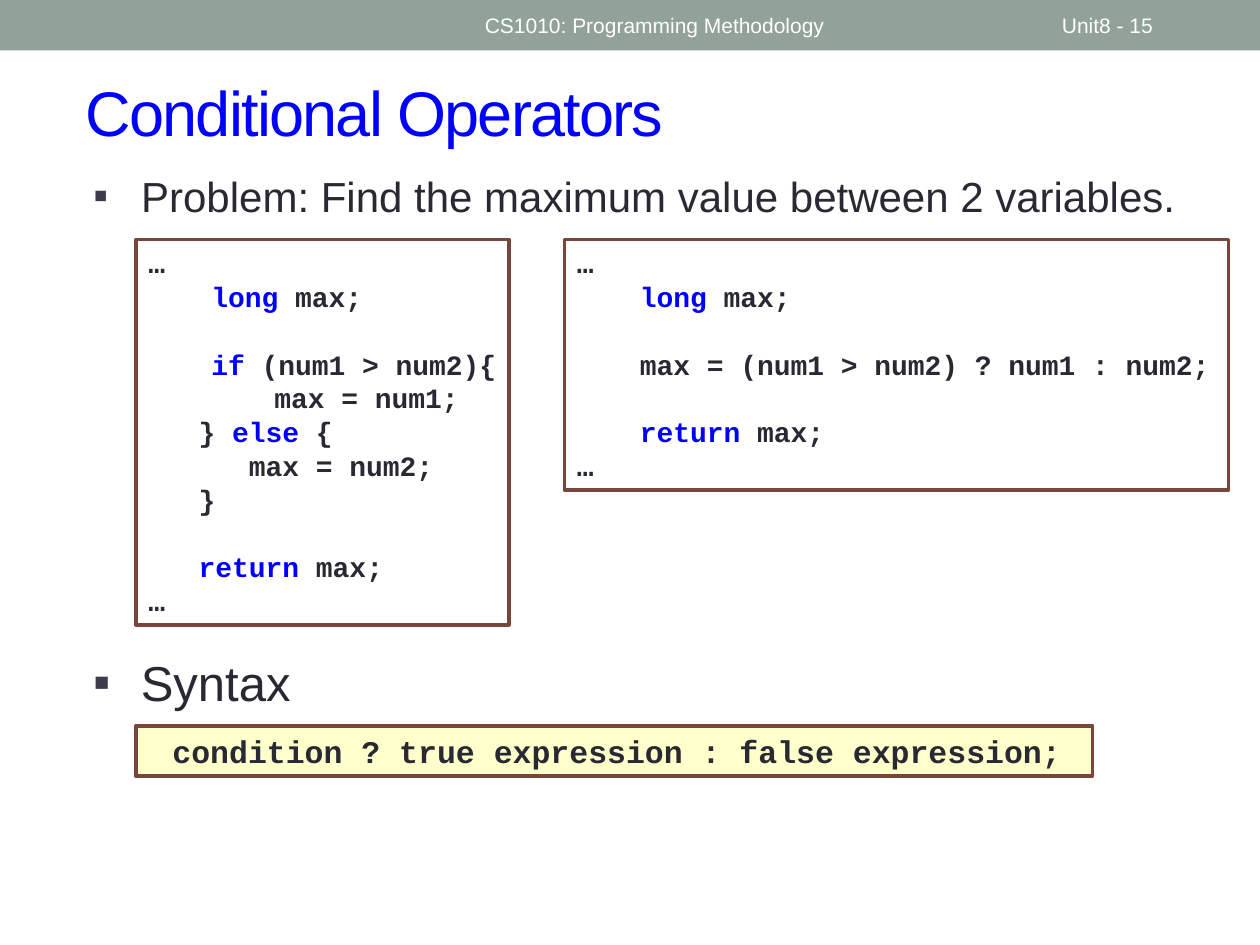
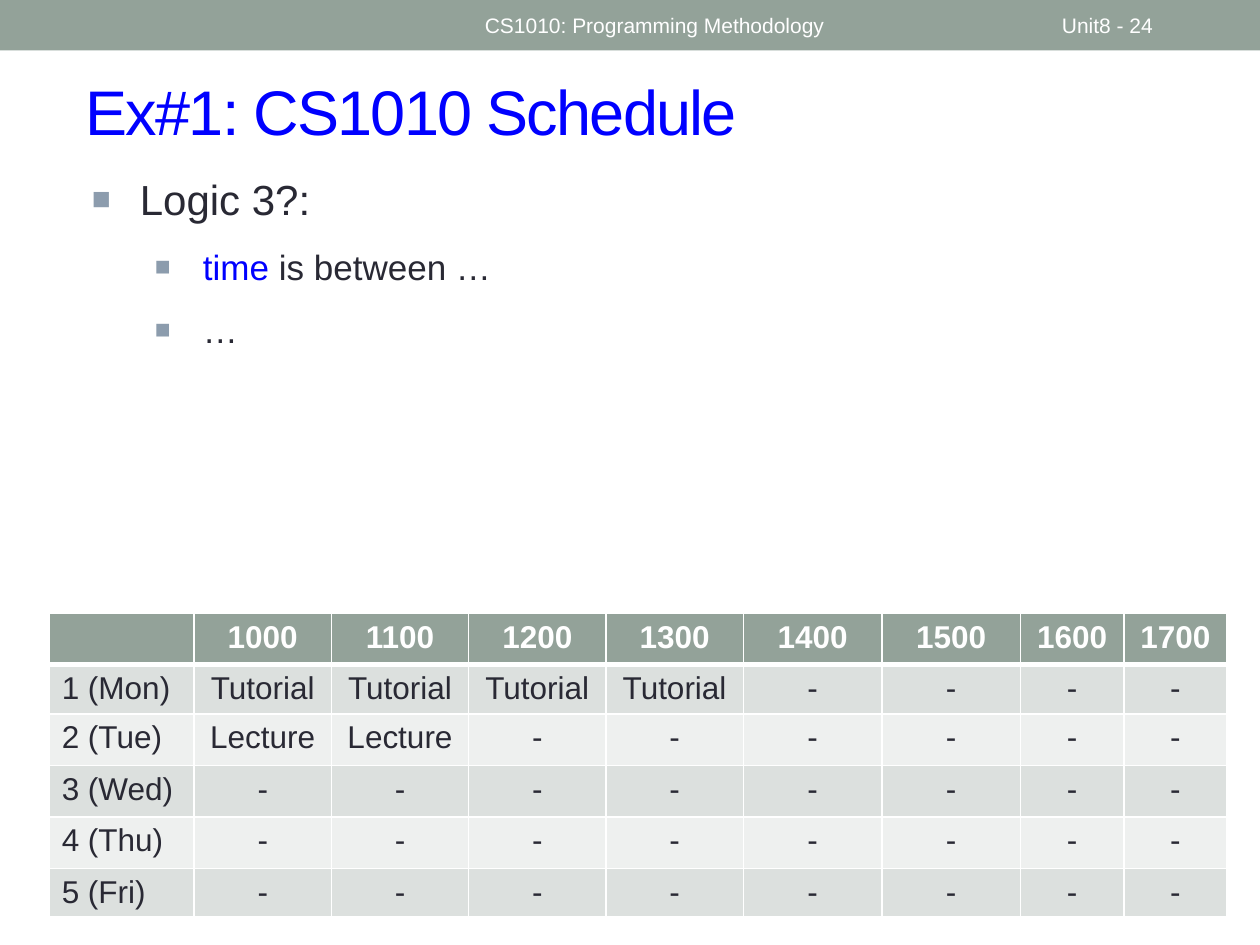
from lxml import etree
from pptx import Presentation
from pptx.dml.color import RGBColor
from pptx.enum.shapes import MSO_SHAPE
from pptx.enum.text import MSO_ANCHOR, MSO_AUTO_SIZE, PP_ALIGN
from pptx.oxml.ns import qn
from pptx.util import Inches, Pt

RECTANGLE = MSO_SHAPE.RECTANGLE
TOP, MIDDLE = MSO_ANCHOR.TOP, MSO_ANCHOR.MIDDLE
LEFT, CENTER = PP_ALIGN.LEFT, PP_ALIGN.CENTER

WHITE = RGBColor(0xFF, 0xFF, 0xFF)
SAGE = RGBColor(0x93, 0xA2, 0x99)
INK = RGBColor(0x29, 0x29, 0x34)
BLUE = RGBColor(0x00, 0x00, 0xFF)
BROWN = RGBColor(0x79, 0x46, 0x3D)
CREAM = RGBColor(0xFF, 0xFF, 0xCC)
BULLET_DARK = RGBColor(0x3B, 0x3B, 0x4B)
BULLET_GREY = RGBColor(0x8C, 0x9C, 0xAD)
ROW_FILLS = [RGBColor(0xDC, 0xE0, 0xDE), RGBColor(0xEE, 0xF0, 0xEF)]

# Content: backquotes mark words shown in blue, an empty line is a gap
COURSE = "CS1010: Programming Methodology"
PROBLEM = "Problem: Find the maximum value between 2 variables."
IF_ELSE_CODE = [
    "…",
    "\t`long` max;",
    "",
    "\t`if` (num1 > num2){",
    "\t\tmax = num1;",
    "   } `else` {",
    "      max = num2;",
    "   }",
    "",
    "   `return` max;",
    "…",
]
CONDITIONAL_CODE = [
    "…",
    "\t`long` max;",
    "",
    "\tmax = (num1 > num2) ? num1 : num2;",
    "",
    "\t`return` max;",
    "…",
]
SYNTAX = "condition ? true expression : false expression;"
LOGIC_ITEMS = [(0, 24, "Logic 3?:"), (1, 20, "`time` is between …"), (1, 20, "…")]
HOURS = [str(hour) for hour in range(1000, 1800, 100)]
SCHEDULE = {
    "1 (Mon)": ["Tutorial"] * 4,
    "2 (Tue)": ["Lecture"] * 2,
    "3 (Wed)": [],
    "4 (Thu)": [],
    "5 (Fri)": [],
}
COLUMN_WIDTHS = [1.15] + [1.09] * 4 + [1.1] * 2 + [0.82] * 2
ROW_HEIGHTS = [0.37, 0.39] + [0.41] * 3 + [0.37]

# Shared sizes
CODE_TABS = [0.38, 0.75]
CODE_LINE = 19.3
HANGING = 0.38


def add_element(parent, tag, **attributes):
    return etree.SubElement(parent, qn(tag), attributes)


def add_bullet(properties, character, color, percent):
    fill = add_element(properties, "a:buClr")
    add_element(fill, "a:srgbClr", val=str(color))
    add_element(properties, "a:buSzPct", val=str(percent * 1000))
    add_element(properties, "a:buFont", typeface="Arial")
    add_element(properties, "a:buChar", char=character)


def write(frame, text, size=18, font="Arial", color=INK, bold=False, align=LEFT,
          anchor=TOP, level=0, indent=0, bullet=None, tabs=(), before=0,
          line=None, tracking=0, append=False):
    """Write lines of text; with append, add them after the present ones."""
    frame.word_wrap = True
    frame.auto_size = MSO_AUTO_SIZE.NONE
    frame.vertical_anchor = anchor
    gap, first = 0, not append
    for content in text.split("\n"):
        if not content:
            gap = line
            continue
        paragraph = frame.paragraphs[0] if first else frame.add_paragraph()
        paragraph.level = level
        paragraph.alignment = align
        paragraph.space_before = Pt(0 if first else before + gap)
        if line:
            paragraph.line_spacing = Pt(line)
        first, gap = False, 0

        # Indents, bullet and tab stops
        properties = paragraph._p.get_or_add_pPr()
        properties.set("marL", str(Inches(indent)))
        properties.set("indent", str(Inches(-HANGING if bullet else 0)))
        if bullet:
            add_bullet(properties, *bullet)
        if tabs:
            tab_list = add_element(properties, "a:tabLst")
            for stop in tabs:
                add_element(tab_list, "a:tab", pos=str(Inches(stop)), algn="l")

        for index, part in enumerate(content.split("`")):
            if part:
                run = paragraph.add_run()
                run.text = part
                run.font.size = Pt(size)
                run.font.name = font
                run.font.bold = bold
                run.font.color.rgb = BLUE if index % 2 else color
                if tracking:
                    run._r.get_or_add_rPr().set("spc", str(tracking))


def place(shape, left, top, width, height):
    shape.left, shape.top = Inches(left), Inches(top)
    shape.width, shape.height = Inches(width), Inches(height)


def add_rectangle(slide, box, fill, line=None):
    shape = slide.shapes.add_shape(RECTANGLE, *map(Inches, box))
    shape.shadow.inherit = False
    shape.fill.solid()
    shape.fill.fore_color.rgb = fill
    if line:
        shape.line.color.rgb = line
        shape.line.width = Pt(2.08)
    else:
        shape.line.fill.background()
    return shape


def add_text(slide, box, text, **text_format):
    shape = slide.shapes.add_textbox(*map(Inches, box))
    write(shape.text_frame, text, **text_format)


def add_code(slide, box, text, fill=WHITE, **text_format):
    shape = add_rectangle(slide, box, fill, BROWN)
    write(shape.text_frame, text, font="Courier New", bold=True, **text_format)


def add_slide(presentation, title, title_box, number):
    """Start a slide with the band, its footer texts and the title."""
    slide = presentation.slides.add_slide(presentation.slide_layouts[1])
    add_rectangle(slide, (0, 0, 10, 0.4), SAGE)
    place(slide.shapes.title, *title_box)
    write(slide.shapes.title.text_frame, title, size=36, color=BLUE,
          anchor=MIDDLE, tracking=-100)
    for left, width, text in [(8.33, 1.17, f"Unit8 - {number}"), (3.75, 4.5, COURSE)]:
        add_text(slide, (left, 0.02, width, 0.36), text, size=12, color=WHITE,
                 anchor=MIDDLE)
    return slide


def set_borders(cell, top=1, bottom=1):
    properties = cell._tc.get_or_add_tcPr()
    for side, width in [("L", 1), ("R", 1), ("T", top), ("B", bottom)]:
        line = add_element(properties, f"a:ln{side}", w=str(Pt(width)))
        fill = add_element(line, "a:solidFill")
        add_element(fill, "a:srgbClr", val=str(WHITE))


def add_schedule(slide):
    rows = [["", *HOURS]]
    for day, events in SCHEDULE.items():
        rows.append([day, *events, *["-"] * (len(HOURS) - len(events))])
    table = slide.shapes.add_table(
        len(rows), len(COLUMN_WIDTHS), Inches(0.39), Inches(4.87),
        Inches(sum(COLUMN_WIDTHS)), Inches(sum(ROW_HEIGHTS))).table
    for column, width in zip(table.columns, COLUMN_WIDTHS):
        column.width = Inches(width)
    for row, height in zip(table.rows, ROW_HEIGHTS):
        row.height = Inches(height)
    for row_index, values in enumerate(rows):
        header = row_index == 0
        for column_index, value in enumerate(values):
            cell = table.cell(row_index, column_index)
            set_borders(cell, top=3 if row_index == 1 else 1, bottom=3 if header else 1)
            cell.fill.solid()
            cell.fill.fore_color.rgb = SAGE if header else ROW_FILLS[(row_index - 1) % 2]
            write(cell.text_frame, value, bold=header, color=WHITE if header else INK,
                  align=CENTER if column_index else LEFT)


def build_operators(presentation):
    slide = add_slide(presentation, "Conditional Operators", (0.58, 0.42, 9.17, 0.92), 15)
    bullet = ("▪", BULLET_DARK, 100)
    body = slide.placeholders[1]
    place(body, 0.64, 1.3, 9.17, 0.6)
    write(body.text_frame, PROBLEM, size=24, indent=HANGING, bullet=bullet)

    # Two ways to write the same choice
    for box, code in [((1.08, 1.9, 2.96, 3.06), IF_ELSE_CODE),
                      ((4.48, 1.9, 5.27, 1.99), CONDITIONAL_CODE)]:
        add_code(slide, box, "\n".join(code), size=16, tabs=CODE_TABS, line=CODE_LINE)

    # Syntax
    add_text(slide, (0.64, 5.13, 9, 0.54), "Syntax", size=28, indent=HANGING, bullet=bullet)
    add_code(slide, (1.08, 5.76, 7.59, 0.4), SYNTAX, fill=CREAM, indent=0.19, anchor=MIDDLE)


def build_schedule(presentation):
    slide = add_slide(presentation, "Ex#1: CS1010 Schedule", (0.58, 0.5, 9.19, 0.75), 24)
    body = slide.placeholders[1]
    place(body, 0.63, 1.33, 9.15, 1.45)
    for index, (level, size, text) in enumerate(LOGIC_ITEMS):
        write(body.text_frame, text, size=size, level=level, before=12,
              indent=HANGING + 0.5 * level, bullet=("■", BULLET_GREY, 75),
              append=index > 0)
    add_schedule(slide)


def main():
    presentation = Presentation()
    presentation.slide_width, presentation.slide_height = Inches(10), Inches(7.5)
    build_operators(presentation)
    build_schedule(presentation)
    presentation.save("out.pptx")


if __name__ == "__main__":
    main()
